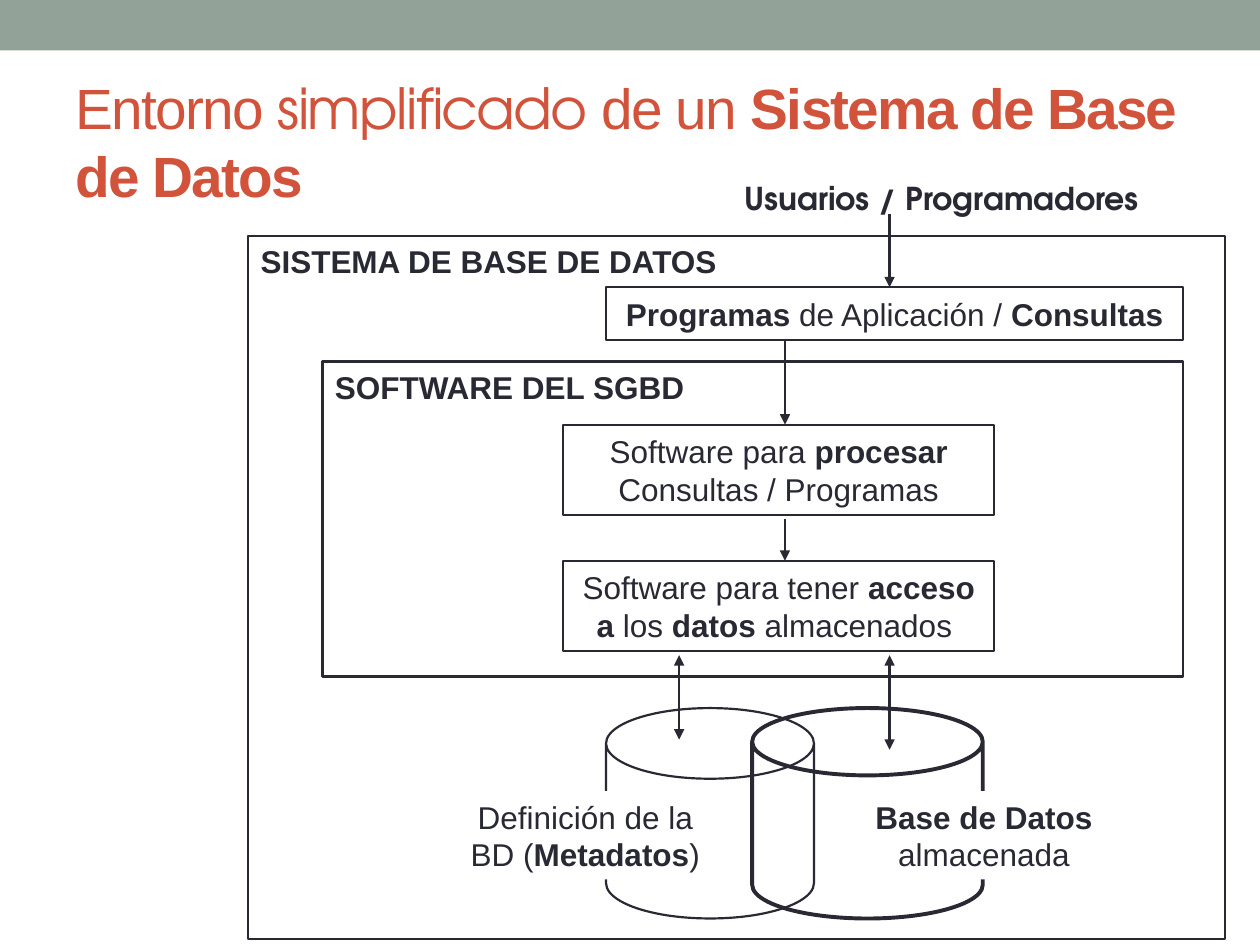
import pptx
import pptx.util
import pptx.dml.color
import pptx.enum.shapes
import pptx.enum.text
import pptx.oxml

INCH = pptx.util.Inches
KIND = pptx.enum.shapes.MSO_SHAPE
ALIGN = pptx.enum.text.PP_ALIGN
ANCHOR = pptx.enum.text.MSO_ANCHOR
INK, RUST, SAGE, WHITE = "292934", "D2533C", "93A299", "FFFFFF"
SANS, ROUND = "Arial", "TeX Gyre Adventor"
THIN, THICK = 1.25, 2.25


def color(code):
    return pptx.dml.color.RGBColor.from_string(code)


def write(frame, text, size=18, ink=INK, font=SANS, align=ALIGN.CENTER):
    """Fill a frame; parts between asterisks are bold."""
    frame.word_wrap = True
    par = frame.paragraphs[0]
    par.alignment = align
    for i, part in enumerate(text.split("*")):
        if part:
            run = par.add_run()
            run.text = part
            run.font.size = pptx.util.Pt(size)
            run.font.name = font
            run.font.bold = i % 2 == 1
            run.font.color.rgb = color(ink)
    return par


def shape(slide, kind, area, fill=None, width=None):
    item = slide.shapes.add_shape(kind, *map(INCH, area))
    item.shadow.inherit = False
    if fill:
        item.fill.solid()
        item.fill.fore_color.rgb = color(fill)
    else:
        item.fill.background()
    if width:
        item.line.color.rgb = color(INK)
        item.line.width = pptx.util.Pt(width)
    else:
        item.line.fill.background()
    return item


def box(slide, area, text="", fill=None, width=THIN):
    item = shape(slide, KIND.RECTANGLE, area, fill, width)
    if text:
        write(item.text_frame, text)


def label(slide, area, text, **style):
    item = slide.shapes.add_textbox(*map(INCH, area))
    write(item.text_frame, text, **style)


def can(slide, area, cap, width):
    item = shape(slide, KIND.CAN, area, width=width)
    item.adjustments[0] = cap


def arrow(slide, x, top, end, both=False):
    link = slide.shapes.add_connector(
        pptx.enum.shapes.MSO_CONNECTOR.STRAIGHT,
        INCH(x), INCH(top), INCH(x), INCH(end))
    link.line.color.rgb = color(INK)
    link.line.width = pptx.util.Pt(THIN)
    line = link.line._get_or_add_ln()
    for tag in ("headEnd", "tailEnd") if both else ("tailEnd",):
        tip = pptx.oxml.parse_xml(
            f'<a:{tag} xmlns:a="http://schemas.openxmlformats.org/'
            'drawingml/2006/main" type="triangle"/>')
        line.append(tip)
    link._element.spPr.append(pptx.oxml.parse_xml(
        '<a:effectLst xmlns:a="http://schemas.openxmlformats.org/'
        'drawingml/2006/main"/>'))


def head(slide):
    title = slide.shapes.title
    title.left, title.top, title.width, title.height = map(
        INCH, (0.5, 0.58, 9, 1.08))
    frame = title.text_frame
    frame.vertical_anchor = ANCHOR.MIDDLE
    for font, text in ((SANS, "Entorno "), (ROUND, "simplificado"),
                       (SANS, " de un* Sistema de Base de Datos*")):
        par = write(frame, text, 32.4, RUST, font, ALIGN.LEFT)
    for run in par.runs:
        run.font._element.set("spc", "-100")


def main():
    deck = pptx.Presentation()
    deck.slide_width, deck.slide_height = INCH(10), INCH(7.5)
    slide = deck.slides.add_slide(deck.slide_layouts[5])

    # Top band and title
    box(slide, (0, 0, 10, 0.4), fill=SAGE, width=None)
    head(slide)

    # Stores and their two-way arrows
    can(slide, (4.81, 5.62, 1.65, 1.67), 0.34, THIN)
    can(slide, (5.97, 5.62, 1.83, 1.67), 0.32, THICK)
    left, mid, right = 5.39, 6.23, 7.06
    arrow(slide, left, 5.2, 5.87, both=True)
    arrow(slide, right, 5.2, 5.95, both=True)

    # Nested systems, each with a heading in its corner
    for x, y, wide, high, span, text in (
            (1.97, 1.87, 7.75, 5.58, 4, "*SISTEMA DE BASE DE DATOS*"),
            (2.56, 2.87, 6.83, 2.5, 3, "*SOFTWARE DEL SGBD*")):
        box(slide, (x, y, wide, high))
        label(slide, (x, y, span, 0.4), text, align=ALIGN.LEFT)

    # Software steps
    box(slide, (4.81, 2.28, 4.58, 0.42),
        "*Programas* de Aplicación / *Consultas*")
    for y, text in (
            (3.37, "Software para *procesar* Consultas / Programas"),
            (4.45, "Software para tener *acceso a* los *datos* almacenados ")):
        box(slide, (4.47, y, 3.42, 0.72), text)

    # Users and the flow downwards
    label(slide, (5.64, 1.37, 3.67, 0.4), "*Usuarios / Programadores*",
          font=ROUND)
    for x, top, end in ((right, 1.7, 2.28), (mid, 2.7, 3.37),
                        (mid, 4.12, 4.45)):
        arrow(slide, x, top, end)

    # Names of the stores
    for x, wide, text in ((3.56, 2.17, "Definición de la BD (*Metadatos*)"),
                          (6.81, 2, "*Base de Datos* almacenada")):
        box(slide, (x, 6.28, wide, 0.7), text, WHITE, None)

    deck.save("out.pptx")


if __name__ == "__main__":
    main()
